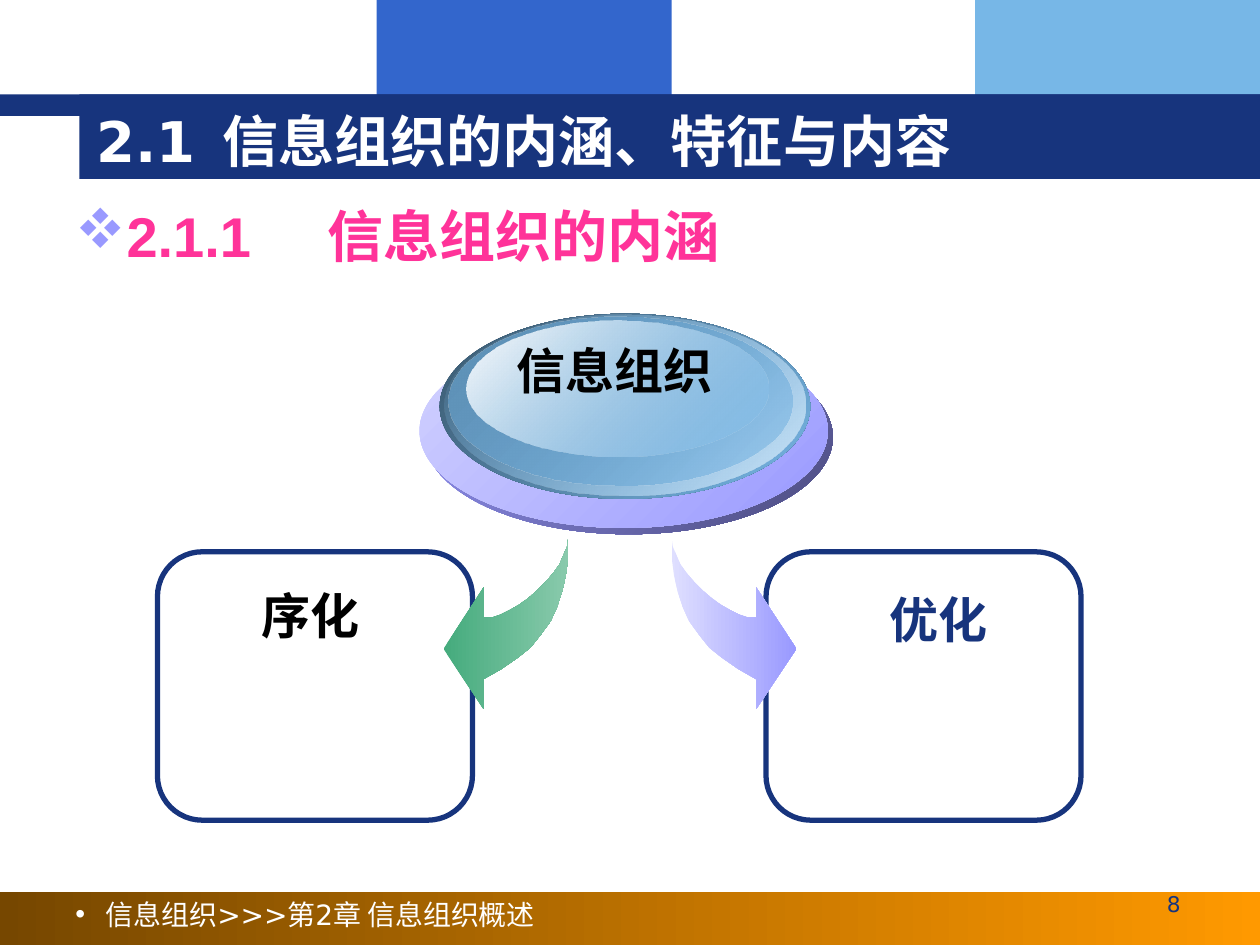
from lxml import etree
from pptx import Presentation
from pptx import util as u
from pptx.dml.color import RGBColor
from pptx.enum import shapes, text
from pptx.oxml.ns import qn

NAVY, WHITE, BLACK, LILAC, SKY = "17347D", "FFFFFF", "000000", "9999FF", "77B7E7"
RECT = shapes.MSO_SHAPE.RECTANGLE
OVAL = shapes.MSO_SHAPE.OVAL
ROUNDED = shapes.MSO_SHAPE.ROUNDED_RECTANGLE
LEFT, CENTER = text.PP_ALIGN.LEFT, text.PP_ALIGN.CENTER
MIRROR_SUM = 9.84  # a point and its mirror image have x values with this sum

ARROW = [
    (4.51, 4.27), (4.51, 4.42), (4.49, 4.57), (4.46, 4.7), (4.42, 4.82),
    (4.37, 4.93), (4.29, 5.04), (4.21, 5.14), (4.11, 5.22), (3.98, 5.31),
    (3.84, 5.39), (3.84, 5.63), (3.52, 5.15), (3.84, 4.66), (3.84, 4.9),
    (3.91, 4.9), (3.97, 4.88), (4.05, 4.84), (4.12, 4.8), (4.19, 4.75),
    (4.26, 4.69), (4.33, 4.62), (4.39, 4.55), (4.44, 4.48), (4.47, 4.41),
    (4.5, 4.34),
]

# place, first stop, last stop; a stop is a colour and its opacity in percent
DISC = [
    ((3.37, 2.7, 3.24, 1.54), (LILAC, 100), ("4A4A7C", 100)),
    ((3.33, 2.65, 3.24, 1.54), ("D2D2FF", 100), (LILAC, 100)),
    ((3.49, 2.49, 2.94, 1.47), ("37556B", 100), (SKY, 100)),
    ((3.53, 2.5, 2.86, 1.43), (SKY, 0), ("D0E6F7", 100)),
    ((3.56, 2.51, 2.73, 1.34), ("5E91B7", 100), (SKY, 48)),
    ((3.7, 2.54, 2.4, 1.08), (WHITE, 100), (SKY, 38)),
]


def color(value):
    """Turn a hex string into a colour."""
    return RGBColor.from_string(value)


def sub(parent, tag, **attributes):
    """Append a drawing element to a parent element."""
    return etree.SubElement(parent, qn(tag), attributes)


def fill_gradient(shape, first, last, angle=0):
    """Fill a shape with two stops along a clockwise angle."""
    shape.fill.gradient()
    gradient = shape.fill._xPr.find(qn("a:gradFill"))
    for child in list(gradient):
        gradient.remove(child)
    stops = sub(gradient, "a:gsLst")
    for position, (value, opacity) in (("0", first), ("100000", last)):
        stop = sub(stops, "a:gs", pos=position)
        tint = sub(stop, "a:srgbClr", val=value)
        if opacity < 100:
            sub(tint, "a:alpha", val=str(opacity * 1000))
    sub(gradient, "a:lin", ang=str(angle * 60000), scaled="0")


def add_shape(page, kind, place, fill=None):
    """Add a preset shape without line or shadow."""
    shape = page.shapes.add_shape(kind, *map(u.Inches, place))
    shape.shadow.inherit = False
    shape.line.fill.background()
    if fill:
        shape.fill.solid()
        shape.fill.fore_color.rgb = color(fill)
    else:
        shape.fill.background()
    return shape


def add_frame(page, place):
    """Add a rounded outline."""
    frame = add_shape(page, ROUNDED, place)
    frame.line.color.rgb = color(NAVY)
    frame.line.width = u.Pt(3)


def add_arrow(page, points, first, last):
    """Add a curved arrow with a gradient from left to right."""
    corners = [(u.Inches(x), u.Inches(y)) for x, y in points]
    builder = page.shapes.build_freeform(*corners[0])
    builder.add_line_segments(corners[1:], close=True)
    arrow = builder.convert_to_shape()
    arrow.shadow.inherit = False
    arrow.line.fill.background()
    fill_gradient(arrow, (first, 100), (last, 100))


def add_text(page, place, words, size, value, font="Arial", bold=True,
             align=CENTER, anchor=text.MSO_ANCHOR.TOP, wrap=True):
    """Add a one-paragraph text box and return its paragraph."""
    box = page.shapes.add_textbox(*map(u.Inches, place))
    box.text_frame.word_wrap = wrap
    box.text_frame.vertical_anchor = anchor
    para = box.text_frame.paragraphs[0]
    para.text = words
    para.alignment = align
    para.font.size = u.Pt(size)
    para.font.name = font
    para.font.bold = bold
    para.font.color.rgb = color(value)
    return para


def format_list(para, tab=None, bullet=None, font="Arial", value=WHITE, indent=0):
    """Give a paragraph a bullet with hanging indent and a tab stop."""
    props = para._p.get_or_add_pPr()
    defaults = props.find(qn("a:defRPr"))
    if bullet:
        props.set("marL", str(u.Inches(indent)))
        props.set("indent", str(-u.Inches(indent)))
        sub(sub(props, "a:buClr"), "a:srgbClr", val=value)
        sub(props, "a:buFont", typeface=font)
        sub(props, "a:buChar", char=bullet)
    if tab:
        sub(sub(props, "a:tabLst"), "a:tab", pos=str(u.Inches(tab)), algn="l")
    props.append(defaults)


def add_bands(page):
    """Add the coloured bands at the top and bottom."""
    add_shape(page, RECT, (2.99, 0, 2.34, 0.92), "3366CC")
    add_shape(page, RECT, (7.74, 0, 2.26, 0.92), SKY)
    footer = add_shape(page, RECT, (0, 7.08, 10, 0.42))
    fill_gradient(footer, ("764700", 100), ("FF9900", 100))
    add_shape(page, RECT, (0, 0.75, 10, 0.17), NAVY)
    add_shape(page, RECT, (0.63, 0.75, 9.37, 0.67), NAVY)


def add_headings(page):
    """Add the footer, page number, title and section heading."""
    sans = "DejaVu Sans"
    footer = add_text(page, (0.5, 7.07, 4.42, 0.35), "信息组织>>>第2章 信息组织概述",
                      16, WHITE, sans, False, LEFT)
    format_list(footer, bullet="•", indent=0.24)
    number = add_text(page, (8.94, 7.06, 0.75, 0.35), "8", 12.4, NAVY, sans, False)
    number.line_spacing = 0.8
    title = add_text(page, (0.67, 0.8, 8.66, 0.62), "2.1\t信息组织的内涵、特征与内容",
                     32, WHITE, sans, align=LEFT, anchor=text.MSO_ANCHOR.MIDDLE)
    format_list(title, tab=1)
    section = add_text(page, (0.5, 1.55, 9, 5.34), "2.1.1\t信息组织的内涵",
                       32, "FF3399", align=LEFT)
    section.space_before = u.Pt(8)
    format_list(section, 2, "v", "Wingdings", LILAC, 0.4)


def add_diagram(page):
    """Add the disc with arrows to the two frames."""
    for left in (6.08, 1.25):
        add_frame(page, (left, 4.38, 2.5, 2.13))
    add_text(page, (1.35, 4.6, 2.23, 0.57), "序化", 28, BLACK)
    add_arrow(page, ARROW, "45AB7D", "89CAAC")
    mirrored = [(MIRROR_SUM - x, y) for x, y in ARROW]
    add_arrow(page, mirrored, "DFDFFF", LILAC)
    for place, first, last in DISC:
        fill_gradient(add_shape(page, OVAL, place), first, last, 45)
    add_text(page, (4, 2.65, 1.84, 0.57), "信息组织 ", 28, BLACK, wrap=False)
    add_text(page, (6.33, 4.63, 2.23, 0.57), "优化", 28, NAVY)


def main():
    """Build the slide and save it."""
    deck = Presentation()
    deck.slide_width, deck.slide_height = u.Inches(10), u.Inches(7.5)
    page = deck.slides.add_slide(deck.slide_layouts[6])
    add_bands(page)
    add_headings(page)
    add_diagram(page)
    deck.save("out.pptx")


main()
